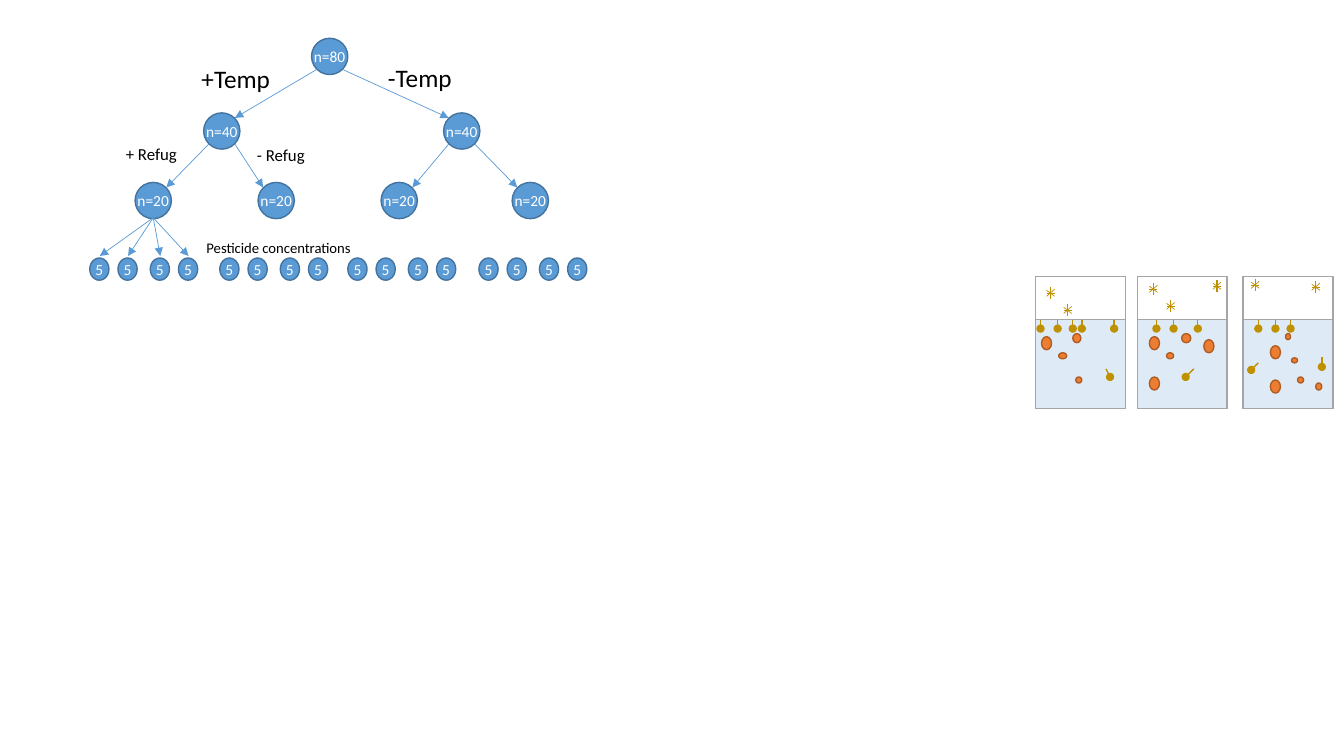
import pptx
import pptx.dml.color
import pptx.enum.shapes
import pptx.enum.text
import pptx.oxml
import pptx.oxml.ns
import pptx.util

PX = 9144
COLORS = {
    "node": "5B9BD5", "node_edge": "43739E", "water": "DEEBF7", "frame": "A5A5A5",
    "egg": "ED7D31", "egg_edge": "AF5C24", "insect": "BF9000",
    "white": "FFFFFF", "black": "000000",
}
OVAL = pptx.enum.shapes.MSO_SHAPE.OVAL
RECTANGLE = pptx.enum.shapes.MSO_SHAPE.RECTANGLE

NODE_SIZE = 36
ARROW_INSET = 13
ROOT = (327, 56)
TEMPERATURE = [(220, 130), (458, 130)]
REFUGE = [(152, 199), (274, 199), (396, 199), (526, 199)]
BRANCHES = [
    (ROOT, TEMPERATURE[0]), (ROOT, TEMPERATURE[1]),
    (TEMPERATURE[0], REFUGE[0]), (TEMPERATURE[0], REFUGE[1]),
    (TEMPERATURE[1], REFUGE[2]), (TEMPERATURE[1], REFUGE[3]),
]
CONCENTRATION_STARTS = [98, 227, 354, 484]
CONCENTRATION_STEPS = [0, 28, 60, 88]
CONCENTRATION_Y = 267
LABELS = [
    ("+Temp", (190, 58, 89, 40), 18),
    ("-Temp", (375, 57, 84, 40), 18),
    ("+ Refug", (115, 138, 71, 30), 12),
    ("- Refug", (245, 139, 68, 30), 12),
    ("Pesticide concentrations", (195, 232, 173, 29), 10.5),
]

WATER_TOP = 317
TANK_LEFTS = [1027, 1128, 1233]
TANK_WIDTH = 89
EGGS = [
    (1033, 334, 10, 13), (1050, 350, 8, 6), (1064, 331, 8, 9), (1067, 374, 6, 6),
    (1140, 334, 10, 13), (1157, 350, 7, 6), (1172, 331, 9, 9), (1194, 337, 10, 13),
    (1140, 374, 10, 13), (1287, 374, 6, 6), (1260, 343, 10, 13), (1275, 331, 5, 6),
    (1305, 380, 6, 7), (1281, 355, 6, 5), (1260, 377, 10, 13),
]
SURFACE_LARVAE = [1032, 1049, 1064, 1073, 1105, 1147, 1164, 1188, 1248, 1265, 1280]
SWIMMING_LARVAE = [
    ((1101, 374), (1097, 366)), ((1176, 374), (1184, 366)),
    ((1311, 364), (1311, 354)), ((1241, 367), (1248, 360)),
]
ADULTS = [(1042, 291), (1059, 308), (1144, 287), (1161, 304),
          (1207, 284), (1245, 283), (1305, 285)]
ADULT_STROKES = [
    ((0, -6), (0, 6), 1), ((-4, -3), (4, 3), 0.5),
    ((-4, 0), (4, 0), 0.5), ((-4, 3), (4, -4), 0.5),
]


def rgb(name):
    """Return the named colour."""
    return pptx.dml.color.RGBColor.from_string(COLORS[name])


def px(values):
    """Turn pixel lengths into EMU."""
    return [pptx.util.Emu(value * PX) for value in values]


def apply(target, formats):
    """Set every attribute in formats on target."""
    for attribute, value in formats.items():
        setattr(target, attribute, value)


def write(frame, wording, size, color):
    """Write one unwrapped line of text."""
    frame.word_wrap = False
    paragraph = frame.paragraphs[0]
    paragraph.text = wording
    apply(paragraph.font, {"name": "Calibri", "size": pptx.util.Pt(size)})
    paragraph.font.color.rgb = rgb(color)
    return paragraph


def add_outline(group, preset, box, fill, edge):
    """Add a preset shape with a one point edge."""
    outline = group.shapes.add_shape(preset, *px(box))
    outline.shadow.inherit = False
    if fill:
        outline.fill.solid()
        outline.fill.fore_color.rgb = rgb(fill)
    else:
        outline.fill.background()
    outline.line.color.rgb = rgb(edge)
    outline.line.width = pptx.util.Pt(1)
    return outline


def add_node(group, center, width, height, wording):
    """Add a labelled oval of the tree around its centre."""
    x, y = center
    box = (x - width // 2, y - height // 2, width, height)
    node = add_outline(group, OVAL, box, "node", "node_edge")
    apply(node.text_frame, {
        "margin_left": 0, "margin_right": 0, "margin_top": 0, "margin_bottom": 0,
        "vertical_anchor": pptx.enum.text.MSO_ANCHOR.MIDDLE,
    })
    paragraph = write(node.text_frame, wording, 11, "white")
    paragraph.alignment = pptx.enum.text.PP_ALIGN.CENTER


def add_label(group, wording, box, size):
    """Add a black text label."""
    label = group.shapes.add_textbox(*px(box))
    write(label.text_frame, wording, size, "black")


def add_line(group, start, end, color, width, ending=None):
    """Add a straight line, with an optional (tag, type) line ending."""
    line = group.shapes.add_connector(
        pptx.enum.shapes.MSO_CONNECTOR.STRAIGHT, *px(start + end))
    line.line.color.rgb = rgb(color)
    line.line.width = pptx.util.Pt(width)
    properties = line._element.spPr
    if ending:
        tag, kind = ending
        tip = pptx.oxml.parse_xml(f'<a:{tag} {pptx.oxml.ns.nsdecls("a")} type="{kind}"/>')
        line.line._get_or_add_ln().append(tip)
    properties.append(pptx.oxml.parse_xml(f'<a:effectLst {pptx.oxml.ns.nsdecls("a")}/>'))


def add_arrow(group, start, end):
    """Add an arrow of the tree."""
    add_line(group, start, end, "node", 0.5, ("tailEnd", "triangle"))


def add_branch(group, parent, child):
    """Join two nodes between the diagonal points of their edges."""
    side = ARROW_INSET if child[0] > parent[0] else -ARROW_INSET
    add_arrow(group, (parent[0] + side, parent[1] + ARROW_INSET),
              (child[0] - side, child[1] - ARROW_INSET))


def add_larva(group, body, tail):
    """Add a larva with a round head at its body end."""
    add_line(group, body, tail, "insect", 1, ("headEnd", "oval"))


def add_adult(group, center):
    """Add a star-shaped adult insect."""
    x, y = center
    for (x1, y1), (x2, y2), width in ADULT_STROKES:
        add_line(group, (x + x1, y + y1), (x + x2, y + y2), "insect", width)


def add_tanks(group):
    """Draw the three tanks with eggs, larvae and adults."""
    for left in TANK_LEFTS:
        add_outline(group, RECTANGLE, (left, WATER_TOP, TANK_WIDTH, 88), "water", "frame")
    for egg in EGGS:
        add_outline(group, OVAL, egg, "egg", "egg_edge")
    for left in TANK_LEFTS:
        add_outline(group, RECTANGLE, (left, 274, TANK_WIDTH, 131), None, "frame")
    for x in SURFACE_LARVAE:
        add_larva(group, (x, WATER_TOP + 9), (x, WATER_TOP))
    for body, tail in SWIMMING_LARVAE:
        add_larva(group, body, tail)
    for center in ADULTS:
        add_adult(group, center)


def add_tree(group):
    """Draw the sample tree with its arrows and labels."""
    for centers, wording in (([ROOT], "n=80"), (TEMPERATURE, "n=40"), (REFUGE, "n=20")):
        for center in centers:
            add_node(group, center, NODE_SIZE, NODE_SIZE, wording)
    for parent, child in BRANCHES:
        add_branch(group, parent, child)
    for start in CONCENTRATION_STARTS:
        for step in CONCENTRATION_STEPS:
            add_node(group, (start + step, CONCENTRATION_Y), 19, 22, "5")
    for step in CONCENTRATION_STEPS:
        add_arrow(group, (REFUGE[0][0], 216), (CONCENTRATION_STARTS[0] + step + 1, 254))
    for wording, box, size in LABELS:
        add_label(group, wording, box, size)


def main():
    """Build and save the slide."""
    deck = pptx.Presentation()
    width, height = px((1333, 750))
    apply(deck, {"slide_width": width, "slide_height": height})
    slide = deck.slides.add_slide(deck.slide_layouts[6])
    add_tanks(slide.shapes.add_group_shape())
    add_tree(slide.shapes.add_group_shape())
    deck.save("out.pptx")


if __name__ == "__main__":
    main()
